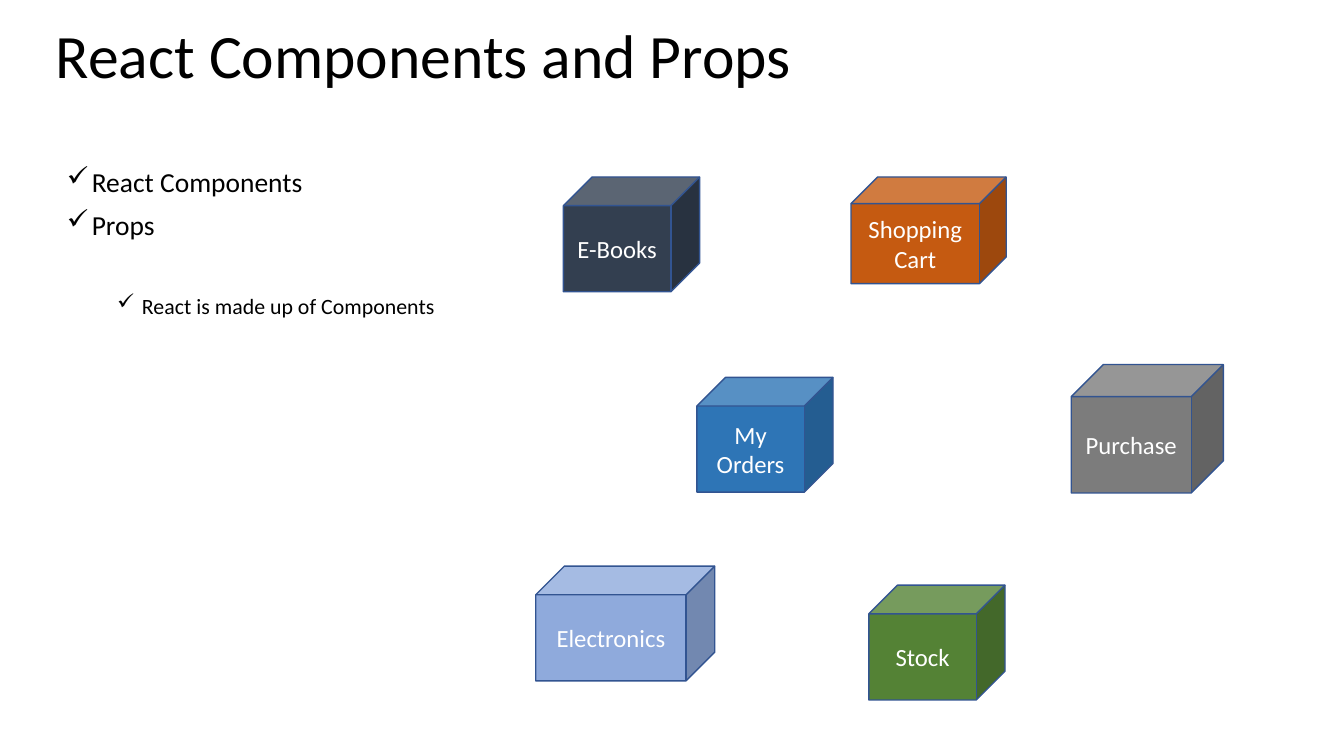
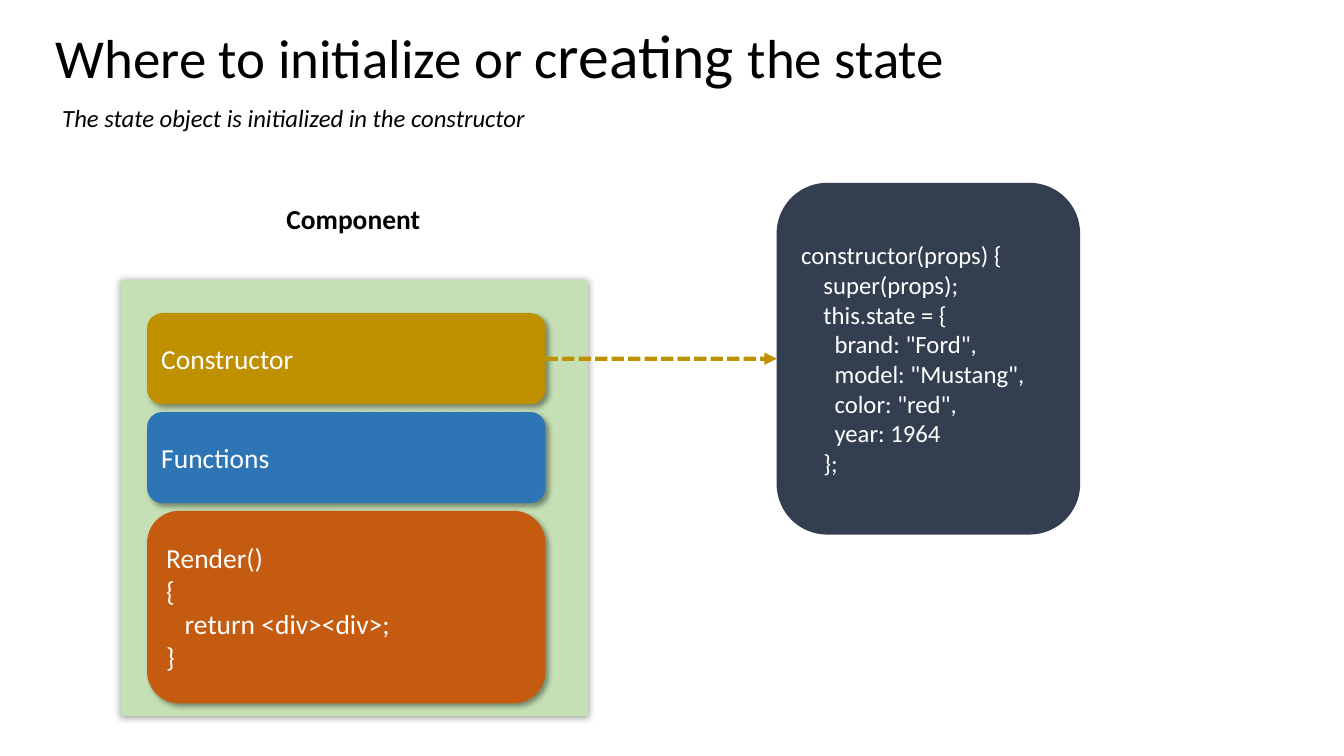
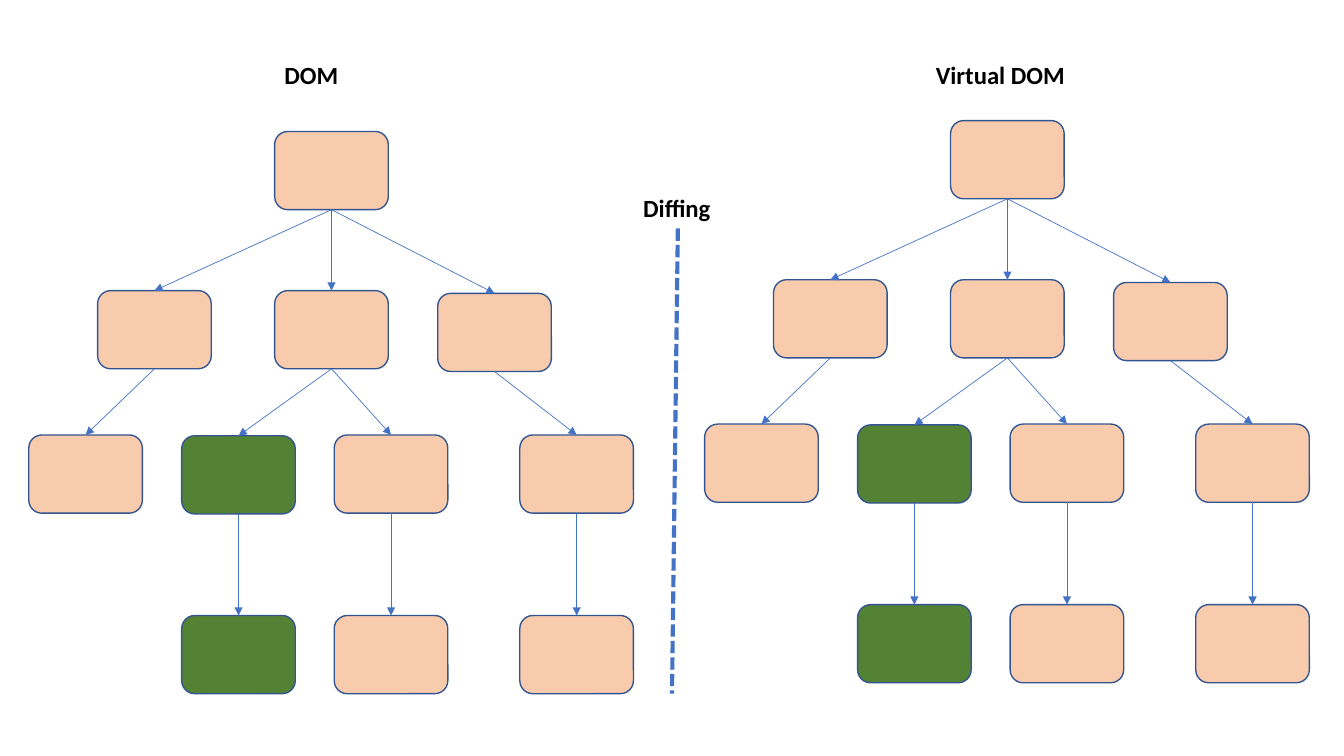
from lxml.etree import SubElement
from pptx import Presentation
from pptx.dml.color import RGBColor
from pptx.enum.dml import MSO_LINE
from pptx.enum.shapes import MSO_CONNECTOR, MSO_SHAPE
from pptx.enum.text import PP_ALIGN
from pptx.oxml.ns import qn
from pptx.util import Cm, Pt

FONT = "Calibri"
HUES = {
    "black": "000000", "white": "FFFFFF", "navy": "333F50", "rust": "C55A11",
    "blue": "2E75B6", "gray": "7C7C7C", "sky": "8FAADC", "green": "548235",
    "mint": "C5E0B4", "gold": "BF9000", "peach": "F8CBAD",
    "rim": "325491", "wire": "4472C4",
}
HUES = {name: RGBColor.from_string(code) for name, code in HUES.items()}


def put(page, kind, at, rows=(), ink="white", fill=None, rim=None,
        align=PP_ALIGN.LEFT, wrap=True, bold=None, italic=None):
    """Add a shape, or a text box if kind is None; a row is a list of (text, size)."""
    at = [Cm(n) for n in at]
    if kind is None:
        shape = page.shapes.add_textbox(*at)
    else:
        shape = page.shapes.add_shape(kind, *at)
        shape.shadow.inherit = False
        shape.fill.solid()
        shape.fill.fore_color.rgb = HUES[fill]
        if rim:
            shape.line.color.rgb = HUES[rim]
            shape.line.width = Pt(1)
        else:
            shape.line.fill.background()
    frame = shape.text_frame
    frame.word_wrap = wrap
    for i, row in enumerate(rows):
        para = frame.add_paragraph() if i else frame.paragraphs[0]
        para.alignment = align
        for text, size in row:
            run = para.add_run()
            run.text = text
            font = run.font
            font.name, font.size = FONT, Pt(size)
            font.bold, font.italic = bold, italic
            font.color.rgb = HUES[ink]
    return shape


def wire(page, ends, hue, width, dash=None, head=True):
    """Add a straight line; ends are two points or two (shape, side) pairs."""
    joined = not isinstance(ends[0][0], (int, float))
    spots = [0] * 4 if joined else [Cm(n) for end in ends for n in end]
    line = page.shapes.add_connector(MSO_CONNECTOR.STRAIGHT, *spots)
    if joined:
        line.begin_connect(*ends[0])
        line.end_connect(*ends[1])
    line.line.color.rgb = HUES[hue]
    line.line.width = Pt(width)
    if dash:
        line.line.dash_style = dash
    props = line._element.spPr
    if head:
        SubElement(props.find(qn("a:ln")), qn("a:tailEnd"), type="triangle")
    SubElement(props, qn("a:effectLst"))


deck = Presentation()
deck.slide_width, deck.slide_height = Cm(34.54), Cm(19.43)
parts, state, trees = [deck.slides.add_slide(deck.slide_layouts[6]) for _ in range(3)]

# Titles
for page, runs in (
    (parts, [("React Components and Props", 44.9)]),
    (state, [("Where to initialize or c", 40), ("reating\u00a0", 44.9), ("the state", 40)]),
):
    title = put(page, None, (1.19, 0.53, 32.16, 1.55), [runs], "black")
    title.text_frame.paragraphs[0].line_spacing = 0.9

# Slide 1: check list
rows = [[("React Components", 20)], [("Props", 20)], [("React is made up of Components", 15.9)]]
points = put(parts, None, (1.47, 3.86, 18.19, 5.49), rows, "black").text_frame.paragraphs
for para, left in zip(points, (0.64, 0.64, 1.93)):
    props = para._p.get_or_add_pPr()
    props.set("marL", str(Cm(left)))
    props.set("indent", str(-Cm(0.64)))
    SubElement(props, qn("a:buChar"), char="✓")
    para.line_spacing = 1.3
points[2].level = 1
points[2].space_before = Pt(32)

# Slide 1: component cubes
for name, fill, *at in (
    ("E-Books", "navy", 14.48, 4.55, 3.5, 2.95),
    ("Shopping Cart", "rust", 21.87, 4.55, 3.99, 2.74),
    ("My Orders", "blue", 17.91, 9.7, 3.5, 2.95),
    ("Purchase", "gray", 27.53, 9.37, 3.91, 3.3),
    ("Electronics", "sky", 13.77, 14.55, 4.6, 2.95),
    ("Stock", "green", 22.33, 15.04, 3.5, 2.95),
):
    put(parts, MSO_SHAPE.CUBE, at, [[(name, 18)]], fill=fill, rim="rim", align=PP_ALIGN.CENTER)

# Slide 2: captions
put(state, None, (1.35, 2.51, 12.67, 1.02),
    [[("The state object is initialized in the constructor", 18)]],
    "black", wrap=False, italic=True)
put(state, None, (7.11, 5.08, 3.99, 1.12), [[("Component", 20)]], "black", wrap=False, bold=True)

# Slide 2: component panel and its bars
panel = put(state, MSO_SHAPE.RECTANGLE, (3.1, 7.21, 12.01, 11.2), fill="mint")
bars = []
for i, (fill, high, lines) in enumerate((
    ("gold", 2.34, ["Constructor"]),
    ("blue", 2.34, ["Functions"]),
    ("rust", 4.95, ["Render()", "{", "   return <div><div>;", "}"]),
)):
    bars.append(put(state, MSO_SHAPE.ROUNDED_RECTANGLE, (3.78, 8.05 + 2.54 * i, 10.24, high),
                    [[(line, 20)] for line in lines], fill=fill))

# Slide 2: soft shadows
for shape, blur, dist, turn in [(panel, 5, 0, 0)] + [(bar, 4, 3, 45) for bar in bars]:
    glow = SubElement(shape._element.spPr.find(qn("a:effectLst")), qn("a:outerShdw"),
                      blurRad=str(Pt(blur)), dist=str(Pt(dist)), dir=str(turn * 60000),
                      rotWithShape="0")
    tone = SubElement(glow, qn("a:srgbClr"), val=str(HUES["black"]))
    SubElement(tone, qn("a:alpha"), val="40000")

# Slide 2: code box
lines = [
    "constructor(props) {",
    "    super(props);",
    "    this.state = {",
    '      brand: "Ford",',
    '      model: "Mustang",',
    '      color: "red",',
    "      year: 1964",
    "    };",
]
code = put(state, MSO_SHAPE.ROUNDED_RECTANGLE, (19.96, 4.7, 7.8, 9.04),
           [[(line, 18)] for line in lines], fill="navy")
wire(state, ((bars[0], 3), (code, 1)), "gold", 3, MSO_LINE.SQUARE_DOT)

# Slide 3: two equal trees, each node with its parent
nodes = (
    ("root", None, 7.06, 3.38, "peach"),
    ("a", "root", 2.51, 7.47, "peach"),
    ("b", "root", 7.06, 7.47, "peach"),
    ("c", "root", 11.25, 7.54, "peach"),
    ("a1", "a", 0.74, 11.18, "peach"),
    ("b1", "b", 4.67, 11.2, "green"),
    ("b2", "b", 8.59, 11.18, "peach"),
    ("c1", "c", 13.36, 11.18, "peach"),
    ("b1x", "b1", 4.67, 15.82, "green"),
    ("b2x", "b2", 8.59, 15.82, "peach"),
    ("c1x", "c1", 13.36, 15.82, "peach"),
)
for right, down in ((0, 0), (17.37, -0.28)):
    made = {}
    for name, top, x, y, fill in nodes:
        made[name] = put(trees, MSO_SHAPE.ROUNDED_RECTANGLE, (x + right, y + down, 2.92, 2.01),
                         fill=fill, rim="rim")
        if top:
            wire(trees, ((made[top], 2), (made[name], 0)), "wire", 0.5)

# Slide 3: headings and divider
for text, x, y, wide in (
    ("DOM", 7.06, 1.4, 1.9),
    ("Virtual DOM", 23.8, 1.4, 3.86),
    ("Diffing", 16.28, 4.83, 2.29),
):
    put(trees, None, (x, y, wide, 1.02), [[(text, 18)]], "black", wrap=False, bold=True)
wire(trees, ((17.42, 5.87), (17.27, 17.83)), "wire", 3, MSO_LINE.SQUARE_DOT, head=False)

deck.save("out.pptx")
